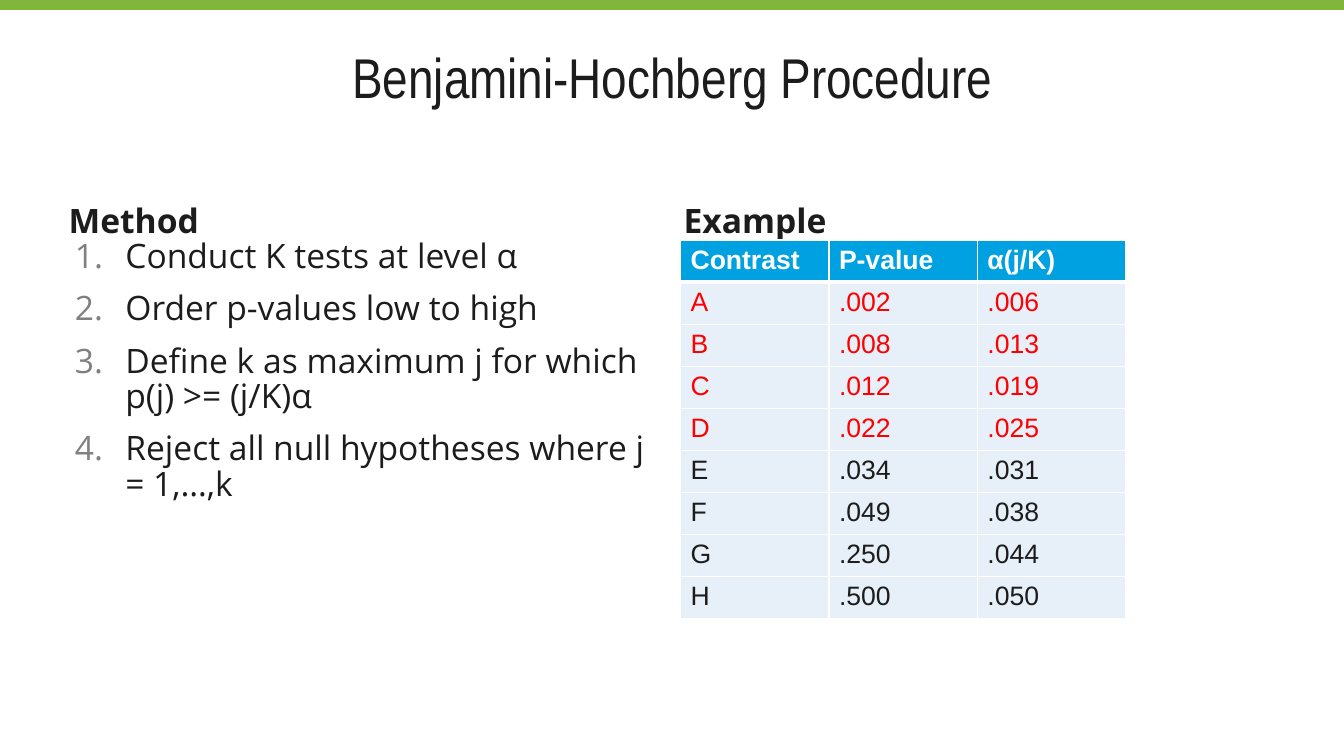
from dataclasses import dataclass

from lxml import etree
from pptx import Presentation
from pptx import util as u
from pptx.dml.color import RGBColor
from pptx.enum import shapes, text
from pptx.oxml import ns

GREEN = RGBColor(0x81, 0xB5, 0x3C)
INK = RGBColor(0x1C, 0x1C, 0x1C)
GREY = RGBColor(0x80, 0x80, 0x80)
BLUE = RGBColor(0x00, 0xA1, 0xE0)
PALE = RGBColor(0xE7, 0xF0, 0xF9)
RED = RGBColor(0xFF, 0x00, 0x00)
WHITE = RGBColor(0xFF, 0xFF, 0xFF)

HEADER = ("Contrast", "P-value", "α(j/K)")
RESULTS = (
    ("A", ".002", ".006"),
    ("B", ".008", ".013"),
    ("C", ".012", ".019"),
    ("D", ".022", ".025"),
    ("E", ".034", ".031"),
    ("F", ".049", ".038"),
    ("G", ".250", ".044"),
    ("H", ".500", ".050"),
)
REJECTED = 4
COLUMN_WIDTH, ROW_HEIGHT = u.Cm(3.74), u.Cm(1.06)


@dataclass
class TextBlock:
    """A text box; lengths in centimetres, sizes in points."""
    left: float
    top: float
    width: float
    height: float
    lines: tuple[str, ...]
    font: str = "Open Sans"
    size: int = 24
    bold: bool = False
    centred: bool = False
    numbered: bool = False
    inset: float = 0.03
    line_spacing: float = 1.0


BLOCKS = (
    TextBlock(0.94, 0.25, 32, 2.51, ("Benjamini-Hochberg Procedure",),
              font="Arial Narrow", size=40, centred=True, inset=0),
    TextBlock(1.7, 4.27, 14.96, 1.78, ("Method",), bold=True),
    TextBlock(1.7, 6.05, 14.96, 10.97,
              ("Conduct K tests at level α",
               "Order p-values low to high",
               "Define k as maximum j for which p(j) >= (j/K)α",
               "Reject all null hypotheses where j = 1,…,k"),
              numbered=True, line_spacing=0.88),
    TextBlock(17.2, 4.27, 14.96, 1.78, ("Example",), bold=True),
)


def style_font(para, name: str, size: float, color: RGBColor, bold: bool) -> None:
    font = para.font
    font.name, font.size, font.bold = name, u.Pt(size), bold
    font.color.rgb = color


def add_number(para) -> None:
    properties = para._p.get_or_add_pPr()
    properties.set("marL", str(u.Cm(1.43)))
    properties.set("indent", str(-u.Cm(1.27)))
    bullet_color = etree.SubElement(properties, ns.qn("a:buClr"))
    etree.SubElement(bullet_color, ns.qn("a:srgbClr"), val=str(GREY))
    etree.SubElement(properties, ns.qn("a:buAutoNum"), type="arabicPeriod")


def add_text(page, block: TextBlock) -> None:
    box = page.shapes.add_textbox(u.Cm(block.left), u.Cm(block.top),
                                  u.Cm(block.width), u.Cm(block.height))
    frame = box.text_frame
    frame.word_wrap = True
    frame.margin_left = u.Cm(block.inset)
    frame.margin_top = frame.margin_right = frame.margin_bottom = 0
    anchor = text.MSO_ANCHOR
    frame.vertical_anchor = anchor.TOP if block.numbered else anchor.BOTTOM
    for index, line in enumerate(block.lines):
        para = frame.add_paragraph() if index else frame.paragraphs[0]
        para.text = line
        para.line_spacing = block.line_spacing
        if block.centred:
            para.alignment = text.PP_ALIGN.CENTER
        if block.numbered:
            para.space_before = u.Pt(6 if index else 0)
            para.space_after = u.Pt(6)
            add_number(para)
        style_font(para, block.font, block.size, INK, block.bold)


def add_borders(cell, bottom_width: float) -> None:
    properties = cell._tc.get_or_add_tcPr()
    widths = {"a:lnL": 1, "a:lnR": 1, "a:lnT": 1, "a:lnB": bottom_width}
    for position, (side, width) in enumerate(widths.items()):
        line = etree.Element(ns.qn(side), w=str(u.Pt(width)))
        fill = etree.SubElement(line, ns.qn("a:solidFill"))
        etree.SubElement(fill, ns.qn("a:srgbClr"), val=str(WHITE))
        properties.insert(position, line)


def add_results(page) -> None:
    rows = (HEADER, *RESULTS)
    table = page.shapes.add_table(
        len(rows), len(HEADER), u.Cm(17.15), u.Cm(6.05),
        COLUMN_WIDTH * len(HEADER), ROW_HEIGHT * len(rows)).table
    for column in table.columns:
        column.width = COLUMN_WIDTH
    for row_index, values in enumerate(rows):
        table.rows[row_index].height = ROW_HEIGHT
        is_header = row_index == 0
        color = WHITE if is_header else RED if row_index <= REJECTED else INK
        for column_index, value in enumerate(values):
            cell = table.cell(row_index, column_index)
            cell.text = value
            cell.fill.solid()
            cell.fill.fore_color.rgb = BLUE if is_header else PALE
            # The rule under the header is thicker, on both sides of the edge
            add_borders(cell, 3 if is_header else 1)
            if row_index == 1:
                cell._tc.tcPr.find(ns.qn("a:lnT")).set("w", str(u.Pt(3)))
            style_font(cell.text_frame.paragraphs[0], "Arial", 19, color, is_header)


def main() -> None:
    deck = Presentation()
    deck.slide_width, deck.slide_height = u.Cm(33.87), u.Cm(19.05)
    page = deck.slides.add_slide(deck.slide_layouts[6])

    # Top band
    band = page.shapes.add_shape(shapes.MSO_SHAPE.RECTANGLE, 0, 0,
                                 deck.slide_width, u.Cm(0.25))
    band.shadow.inherit = False
    band.fill.solid()
    band.fill.fore_color.rgb = GREEN
    band.line.fill.background()

    # Title, headings and method steps
    for block in BLOCKS:
        add_text(page, block)

    # Example results
    add_results(page)
    deck.save("out.pptx")


if __name__ == "__main__":
    main()
